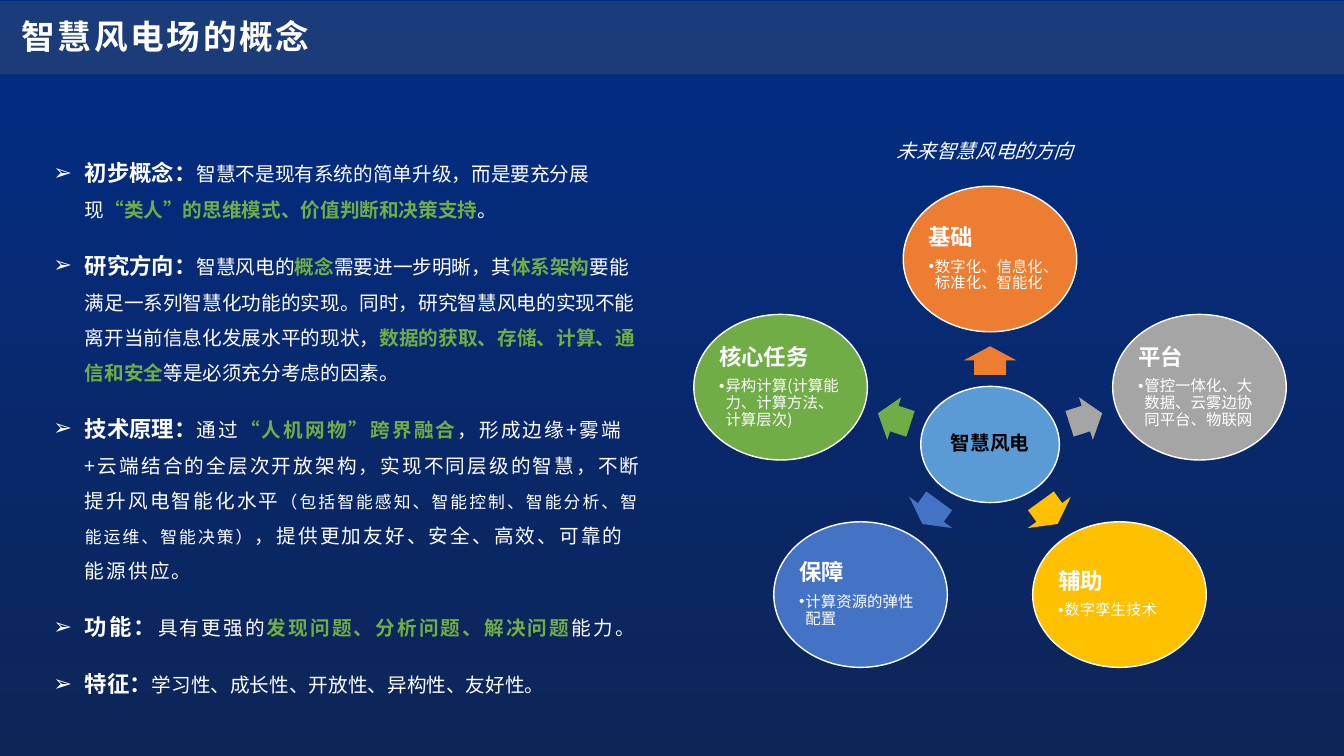
"""Build the slide on the concept of the smart wind farm."""
from math import cos, radians, sin

from lxml.etree import SubElement
from pptx import Presentation
from pptx.dml.color import RGBColor
from pptx.enum.shapes import MSO_SHAPE as Shape
from pptx.enum.text import MSO_ANCHOR as Anchor, PP_ALIGN as Align
from pptx.oxml.ns import qn
from pptx.util import Pt

COLORS = {
    "top": "012D86", "bottom": "0E2557", "band": "43536A", "white": "FFFFFF",
    "black": "000000", "hub": "5B9BD5", "orange": "ED7D31", "gray": "A5A5A5",
    "yellow": "FFC000", "blue": "4472C4", "green": "70AD47",
}
CJK = "Noto Sans CJK SC"


def add_run(paragraph, text, size, color="white", spacing=0, font=CJK, **formats):
    run = paragraph.add_run()
    run.text = text
    for name, value in {"size": Pt(size), "name": font, **formats}.items():
        setattr(run.font, name, value)
    run.font.color.rgb = RGBColor.from_string(COLORS[color])
    properties = run._r.get_or_add_rPr()
    properties.set("spc", str(int(spacing * 100)))
    SubElement(properties, qn("a:ea"), typeface=CJK)


def add_bullet(paragraph, mark, indent):
    properties = paragraph._p.get_or_add_pPr()
    properties.set("marL", str(Pt(indent)))
    properties.set("indent", str(-Pt(indent)))
    SubElement(properties, qn("a:buFont"), typeface="Arial")
    SubElement(properties, qn("a:buChar"), char=mark)


deck = Presentation()
deck.slide_width, deck.slide_height = Pt(960), Pt(540)
slide = deck.slides.add_slide(deck.slide_layouts[5])
shapes = slide.shapes

backdrop = slide.background.fill
backdrop.gradient()
backdrop.gradient_angle = 270
for stop, position, color in zip(backdrop.gradient_stops, (0, 1), ("top", "bottom")):
    stop.position = position
    stop.color.rgb = RGBColor.from_string(COLORS[color])

band = shapes.add_shape(Shape.RECTANGLE, 0, Pt(0.6), Pt(960), Pt(52.6))
band.shadow.inherit = False
band.fill.solid()
band.fill.fore_color.rgb = RGBColor.from_string(COLORS["band"])
band.line.fill.background()
band_color = band.fill._xPr.find(qn("a:solidFill"))[0]
SubElement(band_color, qn("a:alpha"), val="40000")
shapes._spTree.insert(2, band._element)

title = shapes.title
title.left, title.top, title.width, title.height = Pt(7.2), 0, Pt(854.6), Pt(51)
title_format = {
    "margin_left": Pt(8), "margin_right": Pt(6), "margin_top": Pt(3),
    "margin_bottom": Pt(3), "vertical_anchor": Anchor.MIDDLE, "word_wrap": True,
}
for name, value in title_format.items():
    setattr(title.text_frame, name, value)
heading = title.text_frame.paragraphs[0]
heading.alignment = Align.LEFT
add_run(heading, "智慧风电场的概念", 24, spacing=2, font="Arial", bold=True)

PLAIN = {"size": 14, "bold": False}
KEY = {"size": 14, "bold": True, "color": "green"}
WIDE = {**PLAIN, "spacing": 1.5}
WIDE_KEY = {**KEY, "spacing": 1.5}
SMALL = {**WIDE, "size": 12}
LABEL = {"size": 16, "bold": True}
points = [
    [("初步概念：", LABEL),
     ("智慧不是现有系统的简单升级，而是要充分展现", PLAIN),
     ("“类人”的思维模式、价值判断和决策支持", KEY), ("。", PLAIN)],
    [("研究方向：", LABEL),
     ("智慧风电的", PLAIN), ("概念", KEY), ("需要进一步明晰，其", PLAIN), ("体系架构", KEY),
     ("要能满足一系列智慧化功能的实现。同时，研究智慧风电的实现不能离开当前信息化发展水平的现状，", PLAIN),
     ("数据的获取、存储、计算、通信和安全", KEY), ("等是必须充分考虑的因素。", PLAIN)],
    [("技术原理：", LABEL),
     ("通过", WIDE), ("“人机网物”跨界融合", WIDE_KEY),
     ("，形成边缘+雾端+云端结合的全层次开放架构，实现不同层级的智慧，不断提升风电智能化水平", WIDE),
     ("（包括智能感知、智能控制、智能分析、智能运维、智能决策）", SMALL),
     ("，提供更加友好、安全、高效、可靠的能源供应。", WIDE)],
    [("功能：", {**LABEL, "spacing": 1.5}),
     ("具有更强的", WIDE), ("发现问题、分析问题、解决问题", WIDE_KEY), ("能力。", WIDE)],
    [("特征：", LABEL), ("学习性、成长性、开放性、异构性、友好性。", PLAIN)],
]
body = shapes.add_textbox(Pt(31), Pt(100.8), Pt(437), Pt(404.6)).text_frame
body.word_wrap = True
for index, pieces in enumerate(points):
    point = body.add_paragraph() if index else body.paragraphs[0]
    point.line_spacing = 1.5
    point.space_before = Pt(6 if index else 0)
    point.space_after = Pt(6)
    add_bullet(point, "➢", 22.5)
    for text, style in pieces:
        add_run(point, text, **style)

caption = shapes.add_textbox(Pt(633.6), Pt(95.8), Pt(146.9), Pt(24.5)).text_frame
caption.word_wrap = True
add_run(caption.paragraphs[0], "未来智慧风电的方向", 14, font="Arial", italic=True)

directions = [
    ("基础", "数字化、信息化、标准化、智能化", "orange"),
    ("平台", "管控一体化、大数据、云雾边协同平台、物联网", "gray"),
    ("辅助", "数字孪生技术", "yellow"),
    ("保障", "计算资源的弹性配置", "blue"),
    ("核心任务", "异构计算(计算能力、计算方法、计算层次)", "green"),
]
CENTER_X, CENTER_Y = 707.2, 317.5
ovals = [("智慧风电", "", "hub", CENTER_X, CENTER_Y, 99, 83)]
for index, (name, detail, color) in enumerate(directions):
    angle = 72 * index - 90
    across, down = cos(radians(angle)), sin(radians(angle))
    ovals.append((name, detail, color, CENTER_X + 157.3 * across,
                  CENTER_Y + 132.5 * down, 124, 104))
    length, breadth = (24.5, 32) if index in (1, 4) else (20.4, 38)
    arrow = shapes.add_shape(
        Shape.RIGHT_ARROW, Pt(CENTER_X + 72 * across - length / 2),
        Pt(CENTER_Y + 60 * down - breadth / 2), Pt(length), Pt(breadth))
    arrow.rotation = angle % 360
    arrow.adjustments[0], arrow.adjustments[1] = 0.6, 0.5
    arrow.shadow.inherit = False
    arrow.fill.solid()
    arrow.fill.fore_color.rgb = RGBColor.from_string(COLORS[color])
    arrow.line.fill.background()

for name, detail, color, x, y, width, height in ovals:
    oval = shapes.add_shape(Shape.OVAL, Pt(x - width / 2), Pt(y - height / 2),
                            Pt(width), Pt(height))
    oval.shadow.inherit = False
    oval.fill.solid()
    oval.fill.fore_color.rgb = RGBColor.from_string(COLORS[color])
    oval.line.color.rgb = RGBColor.from_string(COLORS["white"])
    oval.line.width = Pt(1)
    frame = oval.text_frame
    frame.word_wrap = True
    frame.vertical_anchor = Anchor.MIDDLE
    for side in ("left", "right", "top", "bottom"):
        setattr(frame, f"margin_{side}", 0)
    label = frame.paragraphs[0]
    label.alignment = Align.LEFT if detail else Align.CENTER
    label.line_spacing = 0.9
    label.space_after = Pt(6)
    add_run(label, name, 16 if detail else 14, "white" if detail else "black", bold=True)
    if detail:
        note = frame.add_paragraph()
        note.alignment = Align.LEFT
        note.line_spacing = 0.9
        note.space_after = Pt(2)
        add_bullet(note, "•", 4.5)
        add_run(note, detail, 11, bold=False)

deck.save("out.pptx")
